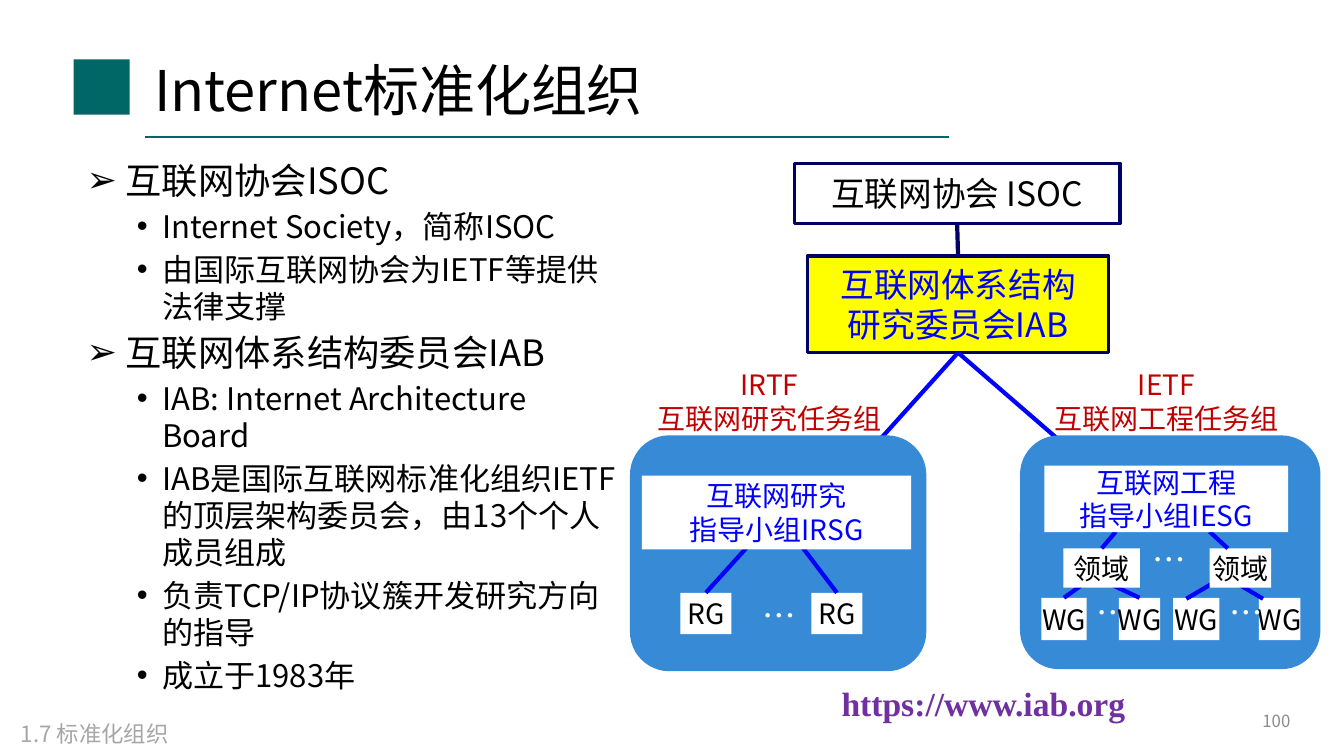
from dataclasses import dataclass

from lxml.etree import SubElement
from pptx import Presentation
from pptx.dml.color import RGBColor
from pptx.enum.shapes import MSO_CONNECTOR as LINE, MSO_SHAPE as SHAPE
from pptx.enum.text import MSO_ANCHOR as ANCHOR, PP_ALIGN as ALIGN
from pptx.oxml.ns import qn
from pptx.util import Pt


@dataclass(frozen=True)
class Theme:
    """Colours, fonts and type sizes of the slide."""
    teal: str = "006666"
    navy: str = "000066"
    blue: str = "0000FF"
    panel: str = "368AD6"
    yellow: str = "FFFF00"
    white: str = "FFFFFF"
    black: str = "000000"
    red: str = "C00000"
    purple: str = "7030A0"
    grey: str = "8C8C8C"
    pale: str = "A6A6A6"
    sans: str = "Noto Sans CJK SC"
    serif: str = "Times New Roman"
    title: float = 40
    topic: float = 25.9
    detail: float = 22.2
    large: float = 24
    label: float = 20
    footer: float = 16
    number: float = 12
    leading: float = 1.2


T = Theme()

TOPICS = [
    ("互联网协会ISOC", [
        "Internet Society，简称ISOC",
        "由国际互联网协会为IETF等提供法律支撑",
    ]),
    ("互联网体系结构委员会IAB", [
        "IAB: Internet Architecture Board",
        "IAB是国际互联网标准化组织IETF的顶层架构委员会，由13个个人成员组成",
        "负责TCP/IP协议簇开发研究方向的指导",
        "成立于1983年",
    ]),
]


def rgb(color):
    """Turn a hex string into a colour."""
    return RGBColor.from_string(color)


def style(p, size, color, align=ALIGN.LEFT, font=T.sans, bold=False):
    """Format a paragraph and its runs."""
    p.alignment = align
    p.line_spacing = Pt(round(size * T.leading, 1))
    for r in p.runs:
        r.font.size = Pt(size)
        r.font.name = font
        r.font.bold = bold
        r.font.color.rgb = rgb(color)
        SubElement(r._r.get_or_add_rPr(), qn("a:ea"), typeface=font)


def add_text(slide, text, box, size, color, align=ALIGN.LEFT,
             anchor=ANCHOR.TOP, font=T.sans, bold=False):
    """Add a wrapping text box."""
    tf = slide.shapes.add_textbox(*map(Pt, box)).text_frame
    tf.word_wrap = True
    tf.vertical_anchor = anchor
    tf.text = text
    for p in tf.paragraphs:
        style(p, size, color, align, font, bold)
    return tf


def add_box(slide, box, fill=T.white, line=None, kind=SHAPE.RECTANGLE):
    """Add a filled shape, outlined if a line colour is given."""
    sp = slide.shapes.add_shape(kind, *map(Pt, box))
    sp.shadow.inherit = False
    sp.fill.solid()
    sp.fill.fore_color.rgb = rgb(fill)
    if line:
        sp.line.color.rgb = rgb(line)
        sp.line.width = Pt(2.25)
    else:
        sp.line.fill.background()
    return sp


def add_node(slide, text, box, color=T.black, size=T.label, **look):
    """Add a box with centred text."""
    sp = add_box(slide, box, **look)
    tf = sp.text_frame
    tf.word_wrap = False
    tf.vertical_anchor = ANCHOR.MIDDLE
    tf.text = text
    for p in tf.paragraphs:
        style(p, size, color, ALIGN.CENTER)
    return sp


def add_link(slide, start, end, color=T.blue, width=3, parent=None, child=None):
    """Add a line, joined to a parent's bottom or a child's top if given."""
    cx = slide.shapes.add_connector(LINE.STRAIGHT, *map(Pt, (*start, *end)))
    cx.line.color.rgb = rgb(color)
    cx.line.width = Pt(width)
    SubElement(cx._element.spPr, qn("a:effectLst"))
    if parent is not None:
        cx.begin_connect(parent, 2)
    if child is not None:
        cx.end_connect(child, 0)


def add_bullet(p, char, left, hang):
    """Give a paragraph a hanging bullet."""
    pPr = p._p.get_or_add_pPr()
    pPr.set("marL", str(Pt(left)))
    pPr.set("indent", str(-Pt(hang)))
    SubElement(pPr, qn("a:buFont"), typeface="Arial")
    SubElement(pPr, qn("a:buChar"), char=char)


def add_outline(slide):
    """Add the bulleted text on the left."""
    items = []
    for topic, details in TOPICS:
        items.append((topic, 0))
        items += [(detail, 1) for detail in details]
    tf = add_text(slide, "\n".join(text for text, _ in items),
                  (54.7, 109.4, 394.6, 402), T.detail, T.black)
    for i, (p, (_, level)) in enumerate(zip(tf.paragraphs, items)):
        p.level = level
        p.space_before = Pt(4 if i else 0)
        if level:
            add_bullet(p, "•", 54, 18)
        else:
            add_bullet(p, "➢", 28, 28)
            p.line_spacing = Pt(round(T.topic * T.leading, 1))
            p.runs[0].font.size = Pt(T.topic)


def add_header(slide):
    """Add the badge, title and rule."""
    add_box(slide, (52.6, 42.5, 40, 39.5), T.teal)
    add_link(slide, (103.7, 97.9), (678, 97.9), T.teal, 1.5)
    add_text(slide, "Internet标准化组织", (103, 29, 647, 69), T.title, T.black,
             anchor=ANCHOR.MIDDLE)


def add_top_bodies(slide):
    """Add ISOC and IAB with their links."""
    isoc = add_node(slide, "互联网协会 ISOC", (567.4, 116.6, 232.6, 43.2),
                    size=T.large, line=T.navy)
    iab = add_node(slide, "互联网体系结构\n研究委员会IAB", (576.7, 182.9, 215.3, 69),
                   T.blue, T.large, fill=T.yellow, line=T.navy)
    add_link(slide, (684, 160), (684, 183), T.navy, parent=isoc, child=iab)
    for end in ((772.6, 328.3), (615.6, 328.3)):
        add_link(slide, (684, 252), end, parent=iab)


def add_panel(slide, box, name, name_box):
    """Add a rounded task force panel with its name above."""
    sp = add_box(slide, box, T.panel, kind=SHAPE.ROUNDED_RECTANGLE)
    sp.adjustments[0] = 0.167
    add_text(slide, name, name_box, T.label, T.red, ALIGN.CENTER)


def add_dots(slide, left, top):
    """Add a white ellipsis."""
    add_text(slide, "…", (left, top, 26, 36), T.large, T.white)


def add_irtf(slide):
    """Add the research task force."""
    add_panel(slide, (450, 311, 211.7, 168.5), "IRTF\n互联网研究任务组",
              (455, 259.2, 189.4, 55.4))
    for left, start in ((486, 541.4), (579.6, 566.6)):
        group = add_node(slide, "RG", (left, 423.4, 36.4, 29.5))
        add_link(slide, (start, 382.3), (left + 18, 423.4), child=group)
    add_dots(slide, 537.8, 421.2)
    add_node(slide, "互联网研究\n指导小组IRSG", (458.6, 339.8, 192.2, 52.6), T.blue)


def add_ietf(slide):
    """Add the engineering task force."""
    add_panel(slide, (728.6, 311, 214.6, 167), "IETF\n互联网工程任务组",
              (725.8, 259.2, 214.6, 55.4))
    for left, width, start, end, joined in (
            (743.8, 32.4, 776.2, 759.6, True), (799.2, 29.5, 789.1, 814.3, True),
            (838, 33.1, 868.3, 847.4, False), (899.3, 29.5, 881.3, 902.2, False)):
        group = add_node(slide, "WG", (left, 427, width, 30.2))
        add_link(slide, (start, 415.4), (end, 427.7),
                 child=group if joined else None)
    for left, width, start, end, joined in (
            (759.6, 54.7, 797, 789.1, True), (864, 43.9, 864, 877, False)):
        area = add_node(slide, "领域", (left, 391.7, width, 28.1))
        add_link(slide, (start, 379.8), (end, 391.7),
                 child=area if joined else None)
    for left, top in ((816.5, 381.6), (776.2, 419), (871.2, 419)):
        add_dots(slide, left, top)
    add_node(slide, "互联网工程\n指导小组IESG", (745.9, 332.6, 174.2, 47.5), T.blue)


def add_footer(slide):
    """Add the link, section name and page number."""
    add_text(slide, "https://www.iab.org", (571, 484.5, 262.8, 36), T.large,
             T.purple, ALIGN.CENTER, font=T.serif, bold=True)
    add_text(slide, "1.7 标准化组织", (7.9, 511.2, 196.6, 26.6), T.footer, T.pale)
    add_text(slide, "100", (712.8, 500.4, 216, 28.8), T.number, T.grey,
             ALIGN.RIGHT, ANCHOR.MIDDLE)


def main():
    """Build and save the slide."""
    prs = Presentation()
    prs.slide_width, prs.slide_height = Pt(960), Pt(540)
    slide = prs.slides.add_slide(prs.slide_layouts[6])
    for add_part in (add_header, add_outline, add_top_bodies,
                     add_irtf, add_ietf, add_footer):
        add_part(slide)
    prs.save("out.pptx")


if __name__ == "__main__":
    main()
